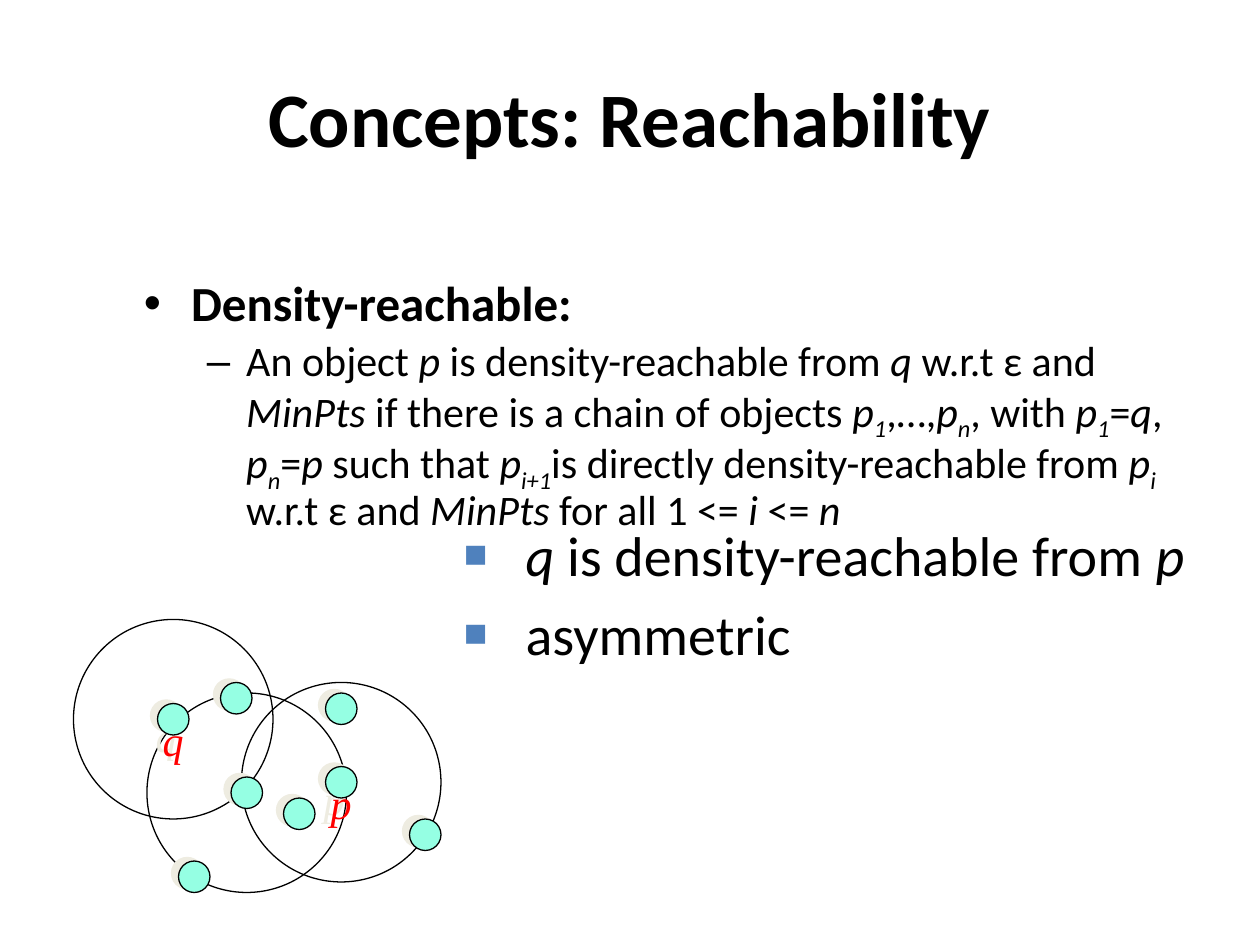
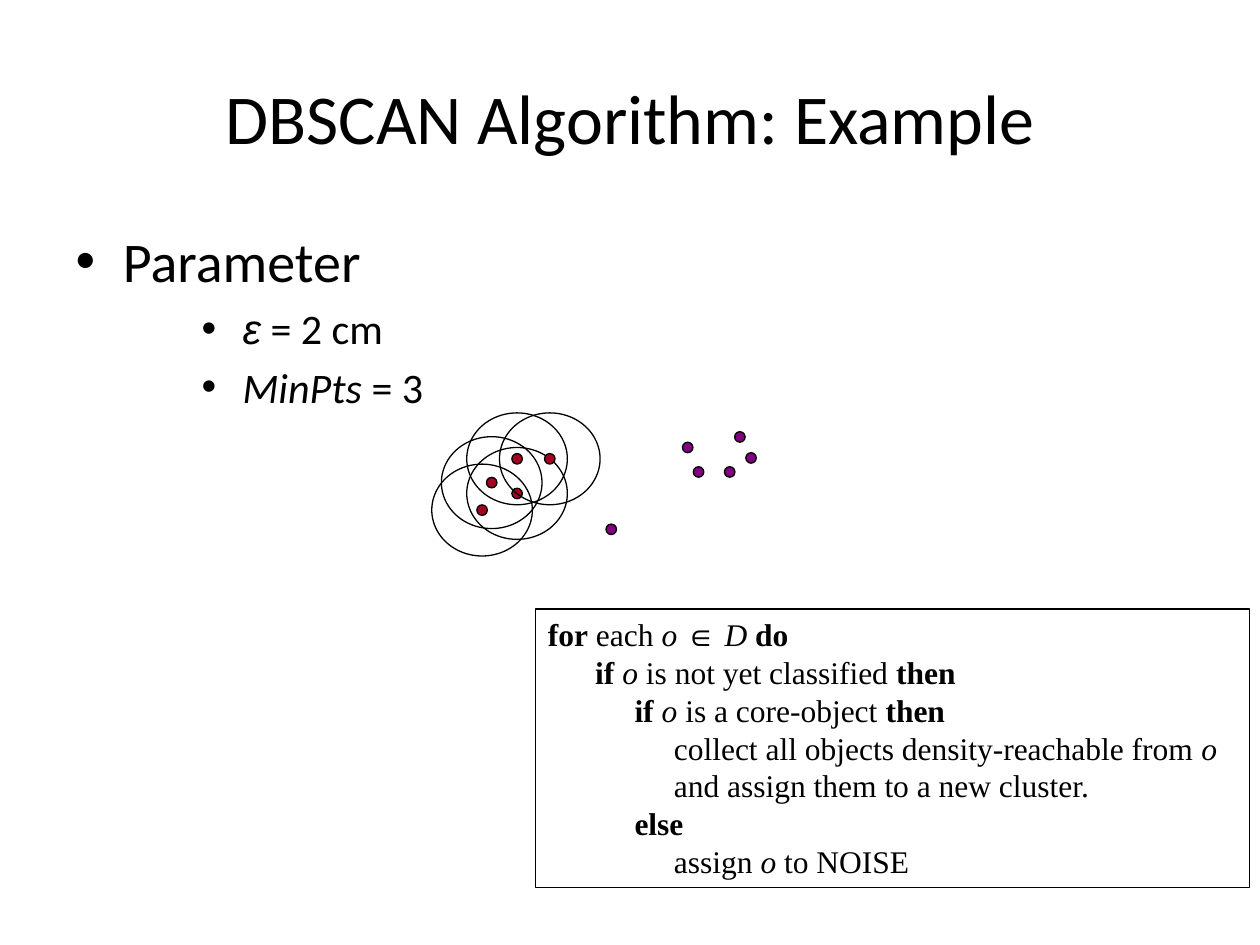
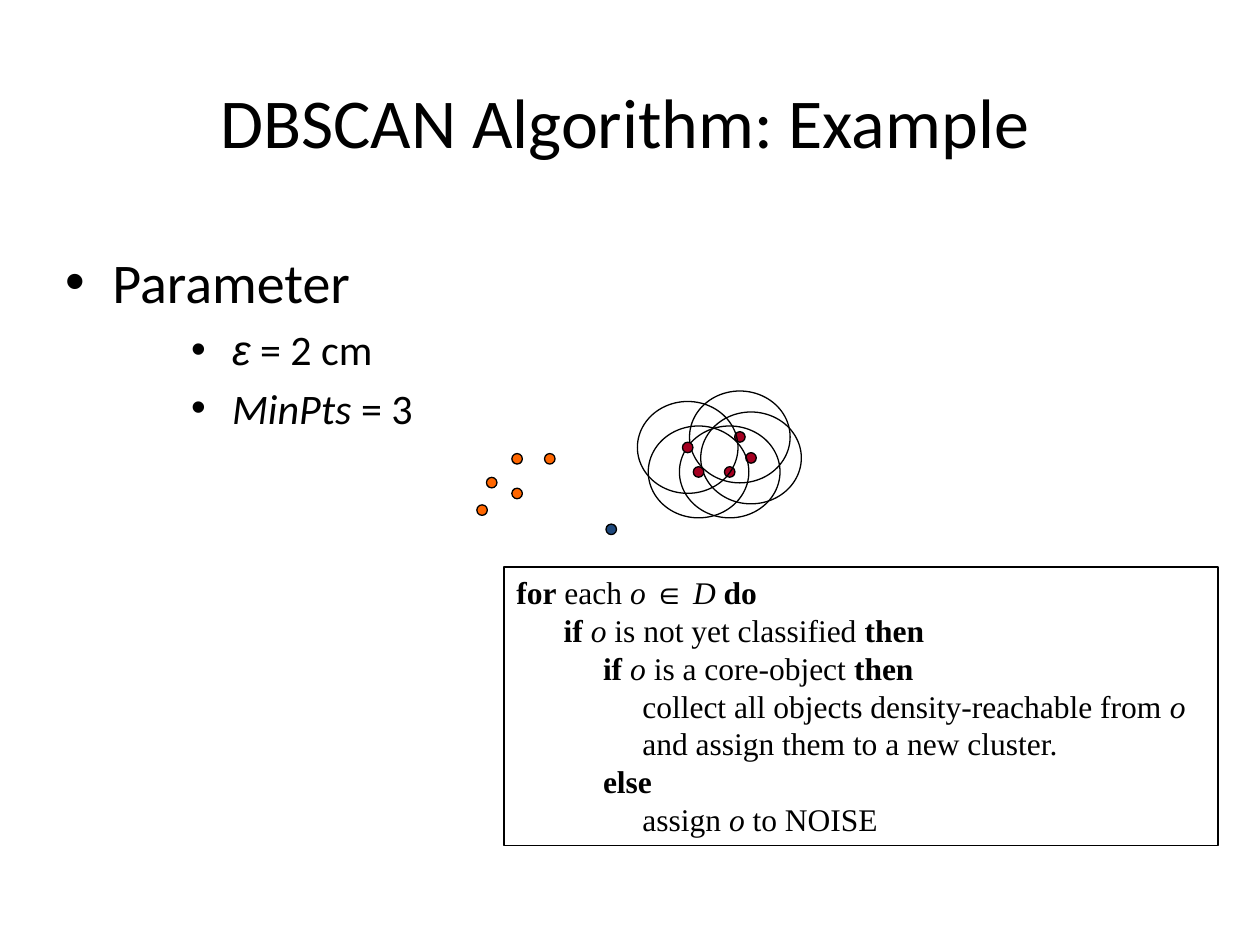
from dataclasses import dataclass
from typing import NamedTuple, Optional

from lxml.etree import SubElement
from pptx import Presentation
from pptx.dml.color import RGBColor
from pptx.enum.shapes import MSO_SHAPE as Preset
from pptx.enum.text import MSO_ANCHOR as Anchor, MSO_AUTO_SIZE as AutoSize, PP_ALIGN as Align
from pptx.oxml.ns import qn
from pptx.util import Pt

BLACK = "000000"
MINT = "95FFE3"
SHADOW = "EEECE1"
RED = "FF0000"
BULLET_BLUE = "4F81BD"
PURPLE = "800080"
CORE_RED = "A50021"
ORANGE = "FF6600"
NAVY = "1F497D"
BODY_FONT = "Calibri"
CODE_FONT = "Times New Roman"
SYMBOL_FONT = "Arial"
LINE_WIDTH = 0.75


class Box(NamedTuple):
    left: float
    top: float
    width: float
    height: float


class Point(NamedTuple):
    x: float
    y: float


class Span(NamedTuple):
    text: str
    bold: bool = False
    italic: bool = False
    subscript: bool = False
    font: Optional[str] = None


class Line(NamedTuple):
    spans: list[Span]
    size: float
    level: int = 0
    indent: Optional[float] = None


@dataclass
class Oval:
    center: Point
    width: float
    height: float
    fill: Optional[str] = None
    shadow: bool = False
    label: str = ""


@dataclass
class ExampleSlide:
    title_box: Box
    body_box: Box
    code_box: Box
    settled: list[tuple[Point, str]]
    visited: list[Point]


def plain(text: str) -> Span:
    return Span(text)


def bold(text: str) -> Span:
    return Span(text, bold=True)


def italic(text: str) -> Span:
    return Span(text, italic=True)


def sub(text: str) -> Span:
    return Span(text, italic=True, subscript=True)


def rgb(value: str) -> RGBColor:
    return RGBColor.from_string(value)


def points(box: Box) -> list[Pt]:
    return [Pt(length) for length in box]


def add_text(para, text: str, *, size: float, font: str = BODY_FONT, color: str = BLACK,
             bold: bool = False, italic: bool = False, subscript: bool = False) -> None:
    run = para.add_run()
    run.text = text
    run.font.size = Pt(size)
    run.font.name = font
    run.font.color.rgb = rgb(color)
    run.font.bold = bold
    run.font.italic = italic
    if subscript:
        run._r.get_or_add_rPr().set("baseline", "-25000")


def add_lines(frame, lines: list[Line], font: str = BODY_FONT) -> list:
    paras = []
    for number, line in enumerate(lines):
        para = frame.add_paragraph() if number else frame.paragraphs[0]
        para.level = line.level
        if line.indent is not None:
            para.alignment = Align.LEFT
            para._p.get_or_add_pPr().set("marL", str(Pt(line.indent)))
        for span in line.spans:
            add_text(para, span.text, size=line.size, font=span.font or font, bold=span.bold,
                     italic=span.italic, subscript=span.subscript)
        paras.append(para)
    return paras


def place(shape, box: Box) -> None:
    shape.left, shape.top, shape.width, shape.height = points(box)


def add_page(deck, title: Line, title_box: Box, body: list[Line], body_box: Box):
    page = deck.slides.add_slide(deck.slide_layouts[1])
    for holder, lines, box in ((page.shapes.title, [title], title_box),
                               (page.placeholders[1], body, body_box)):
        place(holder, box)
        holder.text_frame.auto_size = AutoSize.NONE
        add_lines(holder.text_frame, lines)
    return page


def add_outlined(page, preset: Preset, box: Box, fill: Optional[str] = None):
    shape = page.shapes.add_shape(preset, *points(box))
    shape.shadow.inherit = False
    if fill:
        shape.fill.solid()
        shape.fill.fore_color.rgb = rgb(fill)
    else:
        shape.fill.background()
    shape.line.color.rgb = rgb(BLACK)
    shape.line.width = Pt(LINE_WIDTH)
    return shape


def add_shadow(shape) -> None:
    effects = shape._element.spPr.find(qn("a:effectLst"))
    outer = SubElement(effects, qn("a:outerShdw"), dist=str(Pt(4.5)), dir=str(207 * 60000),
                       algn="ctr", rotWithShape="0")
    SubElement(outer, qn("a:srgbClr"), val=SHADOW)


def draw_oval(page, oval: Oval) -> None:
    box = Box(oval.center.x - oval.width / 2, oval.center.y - oval.height / 2,
              oval.width, oval.height)
    shape = add_outlined(page, Preset.OVAL, box, oval.fill)
    if oval.shadow:
        add_shadow(shape)
    if oval.label:
        frame = shape.text_frame
        frame.word_wrap = False
        frame.vertical_anchor = Anchor.TOP
        frame.paragraphs[0].alignment = Align.CENTER
        add_text(frame.paragraphs[0], oval.label, size=24, font=CODE_FONT, color=RED, italic=True)


def add_square_bullet(para) -> None:
    props = para._p.get_or_add_pPr()
    props.set("marL", str(Pt(35.3)))
    props.set("indent", str(-Pt(35.3)))
    color = SubElement(props, qn("a:buClr"))
    SubElement(color, qn("a:srgbClr"), val=BULLET_BLUE)
    SubElement(props, qn("a:buSzPct"), val="70000")
    SubElement(props, qn("a:buFont"), typeface=SYMBOL_FONT)
    SubElement(props, qn("a:buChar"), char="■")


REACHABLE_BODY = [
    Line([bold("Density-reachable:")], 28),
    Line([plain("An object "), italic("p"), plain(" is density-reachable from "), italic("q"),
          plain(" w.r.t ε and "), italic("MinPts"), plain(" if there is a chain of objects "),
          italic("p"), sub("1"), plain(",…,"), italic("p"), sub("n"), plain(", with "),
          italic("p"), sub("1"), plain("="), italic("q"), plain(", "), italic("p"), sub("n"),
          plain("="), italic("p"), plain(" such that "), italic("p"), sub("i+1"),
          plain("is directly density-reachable from "), italic("p"), sub("i"),
          plain(" w.r.t ε and "), italic("MinPts"), plain(" for all 1 <= "), italic("i"),
          plain(" <= "), italic("n")], 24, level=1),
]
REACHABLE_NOTES = [
    Line([italic("q"), plain(" is density-reachable from "), italic("p")], 32),
    Line([plain("asymmetric")], 32),
]
POINT_P = Point(195, 447)
POINT_Q = Point(99, 411)
POINT_MIDDLE = Point(141, 453)
LABELS = {POINT_P: "p", POINT_Q: "q"}
OBJECTS = [Point(195, 405), Point(171, 465), Point(243, 477), POINT_P,
           Point(135, 399), Point(111, 501), POINT_Q, POINT_MIDDLE]

PARAMETERS = [
    Line([plain("Parameter")], 32),
    Line([plain(" "), Span("ε", italic=True, font=SYMBOL_FONT), plain(" = 2 cm")], 24, level=2),
    Line([plain(" "), italic("MinPts"), plain(" = 3")], 24, level=2),
]
CODE = [
    Line([bold("for"), plain(" each "), italic("o "), Span("∈", font=SYMBOL_FONT),
          italic(" D "), bold("do")], 18, indent=0),
    Line([bold("if "), italic("o"), plain(" is not yet classified "), bold("then")],
         18, indent=27),
    Line([bold("if "), italic("o"), plain(" is a core-object "), bold("then")], 18, indent=49.5),
    Line([plain("collect all objects density-reachable from "), italic("o")], 18, indent=72),
    Line([plain("and assign them to a new cluster.")], 18, indent=72),
    Line([bold("else")], 18, indent=49.5),
    Line([plain("assign "), italic("o"), plain(" to NOISE")], 18, indent=72),
]
LEFT_CLUSTER = [Point(275.5, 291.5), Point(281, 275.8), Point(295.5, 262.2),
                Point(295.5, 282), Point(314.2, 262.2)]
RIGHT_CLUSTER = [Point(429.2, 261.7), Point(422.8, 249.7), Point(417, 269.7),
                 Point(399.2, 269.7), Point(393, 255.7)]
NOISE = Point(349.3, 302.5)

EXAMPLES = [
    ExampleSlide(Box(36, 21.6, 648, 90), Box(36, 126, 648, 356.4), Box(306, 348, 408, 159),
                 [(point, PURPLE) for point in [*RIGHT_CLUSTER, NOISE]], LEFT_CLUSTER),
    ExampleSlide(Box(42, 18, 630, 102), Box(30, 138, 612, 324), Box(288, 324, 408, 159),
                 [*((point, ORANGE) for point in LEFT_CLUSTER), (NOISE, NAVY)], RIGHT_CLUSTER),
]


def build_reachability(deck) -> None:
    page = add_page(deck, Line([bold("Concepts: Reachability")], 44), Box(36, 21.6, 648, 90),
                    REACHABLE_BODY, Box(75, 156, 603, 162))
    for para in page.placeholders[1].text_frame.paragraphs:
        para.line_spacing = 0.9
    for center in (POINT_MIDDLE, POINT_P, POINT_Q):
        draw_oval(page, Oval(center, 114, 114))
    for center in OBJECTS:
        draw_oval(page, Oval(center, 18, 18, MINT, True, LABELS.get(center, "")))
    notes = page.shapes.add_textbox(*points(Box(258, 294, 426, 150))).text_frame
    notes.word_wrap = True
    notes.margin_right = 0
    for para in add_lines(notes, REACHABLE_NOTES):
        para.space_before = Pt(6.4)
        add_square_bullet(para)


def build_example(deck, example: ExampleSlide) -> None:
    page = add_page(deck, Line([plain("DBSCAN Algorithm: Example")], 40), example.title_box,
                    PARAMETERS, example.body_box)
    for center, color in example.settled:
        draw_oval(page, Oval(center, 6, 6, color))
    for center in example.visited:
        draw_oval(page, Oval(center, 57.5, 52.5))
        draw_oval(page, Oval(center, 6, 6, CORE_RED))
    frame = add_outlined(page, Preset.RECTANGLE, example.code_box).text_frame
    frame.word_wrap = True
    frame.auto_size = AutoSize.SHAPE_TO_FIT_TEXT
    frame.vertical_anchor = Anchor.TOP
    add_lines(frame, CODE, CODE_FONT)


def main() -> None:
    deck = Presentation()
    deck.slide_width, deck.slide_height = Pt(720), Pt(540)
    build_reachability(deck)
    for example in EXAMPLES:
        build_example(deck, example)
    deck.save("out.pptx")


if __name__ == "__main__":
    main()
